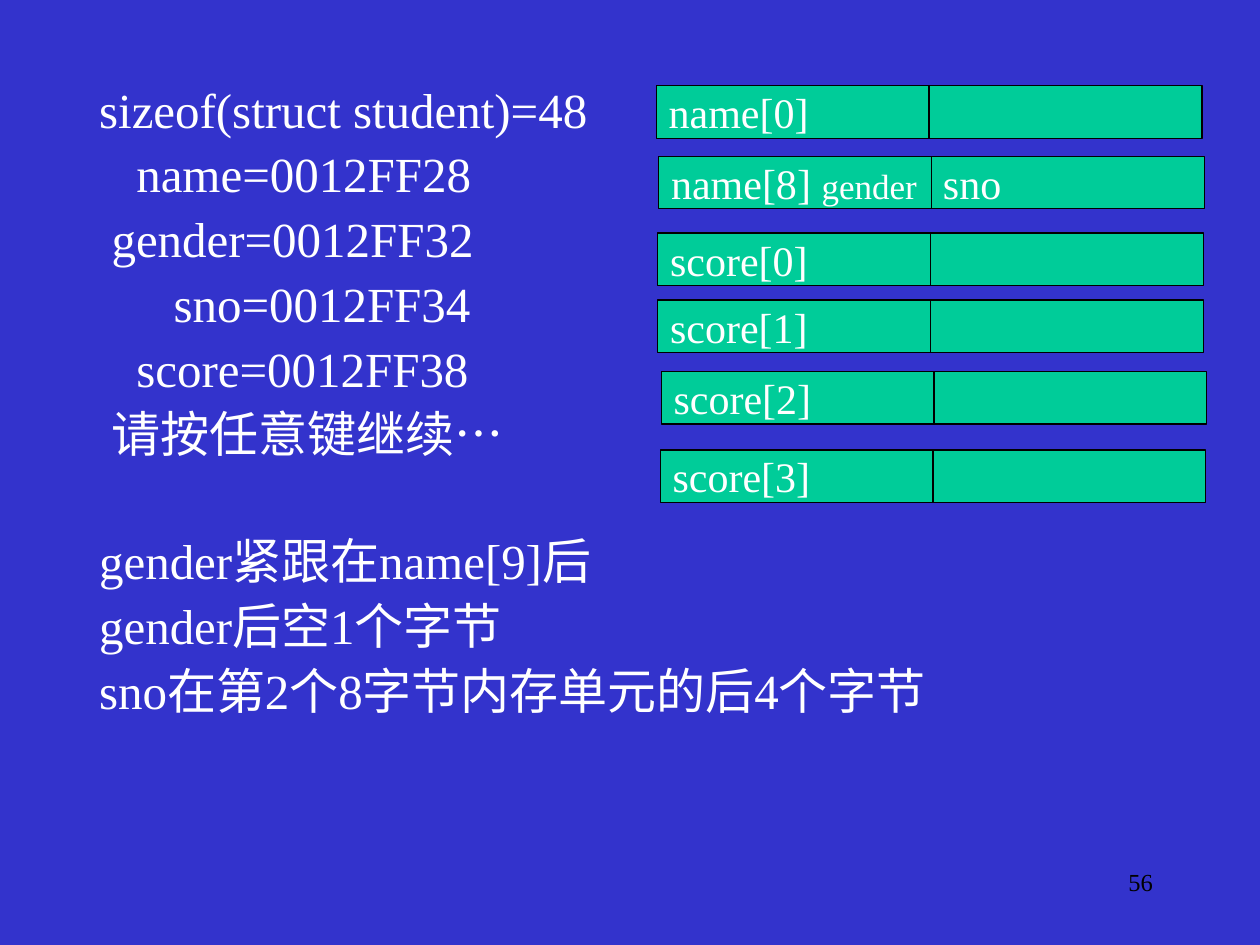
from dataclasses import dataclass

import pptx
import pptx.dml.color
import pptx.enum.lang
import pptx.enum.shapes
import pptx.enum.text
import pptx.oxml
import pptx.util
from pptx.util import Cm, Pt

FONT = "Times New Roman"
WHITE, BLACK, GREEN, BLUE = "FFFFFF", "000000", "00CC99", "3333CC"
ROW_WIDTH, ROW_HEIGHT = Cm(11), Cm(1.06)
SECOND_HALF_TAB = Cm(5.48)
SPACE_WIDTH = Cm(0.25)
LINE_GAP, BLOCK_GAP = Pt(6.8), Pt(42.6)


@dataclass
class OutputLine:
    text: str
    indent: int = 0
    gap: pptx.util.Length = LINE_GAP


@dataclass
class MemoryRow:
    """Eight bytes of the struct; labels pair a text with its point size."""
    left: float
    top: float
    labels: list[tuple[str, int]]


OUTPUT = [
    OutputLine("sizeof(struct student)=48", gap=Pt(0)),
    OutputLine("name=0012FF28", 3),
    OutputLine("gender=0012FF32", 1),
    OutputLine("sno=0012FF34", 6),
    OutputLine("score=0012FF38", 3),
    OutputLine("请按任意键继续…", 1),
    OutputLine("gender紧跟在name[9]后", gap=BLOCK_GAP),
    OutputLine("gender后空1个字节"),
    OutputLine("sno在第2个8字节内存单元的后4个字节"),
]
MEMORY = [
    MemoryRow(13.23, 1.73, [("name[0]", 24)]),
    MemoryRow(13.28, 3.15, [("name[8] ", 24), ("gender", 20), ("\tsno", 24)]),
    MemoryRow(13.26, 4.7, [("score[0]", 24)]),
    MemoryRow(13.26, 6.05, [("score[1]", 24)]),
    MemoryRow(13.33, 7.49, [("score[2]", 24)]),
    MemoryRow(13.31, 9.07, [("score[3]", 24)]),
]


def paint(color_format, hex_color: str) -> None:
    color_format.rgb = pptx.dml.color.RGBColor.from_string(hex_color)


def style(run, size: float, hex_color: str) -> None:
    run.font.name = FONT
    run.font.size = Pt(size)
    run.font.language_id = pptx.enum.lang.MSO_LANGUAGE_ID.SIMPLIFIED_CHINESE
    paint(run.font.color, hex_color)


def outline(line) -> None:
    line.width = Pt(0.75)
    line.fill.solid()
    paint(line.color, BLACK)


def add_output(slide, lines: list[OutputLine]) -> None:
    box = slide.shapes.add_textbox(Cm(1.9), Cm(1.73), Cm(21.9), Cm(13.39))
    frame = box.text_frame
    frame.word_wrap = True
    frame.margin_left = frame.margin_right = Cm(0.1)
    frame.margin_top = frame.margin_bottom = 0
    frame.text = "\n".join(line.text for line in lines)
    for line, paragraph in zip(lines, frame.paragraphs):
        paragraph.alignment = pptx.enum.text.PP_ALIGN.JUSTIFY
        paragraph.line_spacing = 0.9
        paragraph.space_before = line.gap
        paragraph._p.get_or_add_pPr().set("marL", str(line.indent * SPACE_WIDTH))
        style(paragraph.runs[0], 28, WHITE)


def add_tab_stop(paragraph, position: pptx.util.Length) -> None:
    namespace = "http://schemas.openxmlformats.org/drawingml/2006/main"
    paragraph._p.get_or_add_pPr().append(pptx.oxml.parse_xml(
        f'<a:tabLst xmlns:a="{namespace}"><a:tab pos="{int(position)}" algn="l"/></a:tabLst>'))


def add_memory_row(slide, row: MemoryRow) -> None:
    """Draw one row split in two halves by a vertical line."""
    group = slide.shapes.add_group_shape()
    cell = group.shapes.add_shape(pptx.enum.shapes.MSO_SHAPE.RECTANGLE,
                                  Cm(row.left), Cm(row.top), ROW_WIDTH, ROW_HEIGHT)
    cell.shadow.inherit = False
    cell.fill.solid()
    paint(cell.fill.fore_color, GREEN)
    outline(cell.line)

    frame = cell.text_frame
    frame.word_wrap = False
    frame.vertical_anchor = pptx.enum.text.MSO_ANCHOR.MIDDLE
    paragraph = frame.paragraphs[0]
    paragraph.alignment = pptx.enum.text.PP_ALIGN.LEFT
    if len(row.labels) > 1:
        add_tab_stop(paragraph, SECOND_HALF_TAB)
    for text, size in row.labels:
        run = paragraph.add_run()
        run.text = text
        style(run, size, WHITE)

    middle = cell.left + cell.width // 2
    divider = group.shapes.add_connector(pptx.enum.shapes.MSO_CONNECTOR.STRAIGHT,
                                         middle, cell.top, middle, cell.top + cell.height)
    divider.begin_connect(cell, 0)
    divider.end_connect(cell, 2)
    outline(divider.line)
    divider._element.spPr.append(pptx.oxml.parse_xml(
        '<a:effectLst xmlns:a="http://schemas.openxmlformats.org/drawingml/2006/main"/>'))


def add_page_number(slide, number: str) -> None:
    box = slide.shapes.add_textbox(Cm(18.21), Cm(17.35), Cm(5.28), Cm(1.27))
    box.text_frame.word_wrap = True
    box.text_frame.text = number
    paragraph = box.text_frame.paragraphs[0]
    paragraph.alignment = pptx.enum.text.PP_ALIGN.RIGHT
    style(paragraph.runs[0], 14, BLACK)


def main() -> None:
    deck = pptx.Presentation()
    deck.slide_width, deck.slide_height = Cm(25.4), Cm(19.05)
    slide = deck.slides.add_slide(deck.slide_layouts[6])
    slide.background.fill.solid()
    paint(slide.background.fill.fore_color, BLUE)
    add_output(slide, OUTPUT)
    for row in MEMORY:
        add_memory_row(slide, row)
    add_page_number(slide, "56")
    deck.save("out.pptx")


if __name__ == "__main__":
    main()
